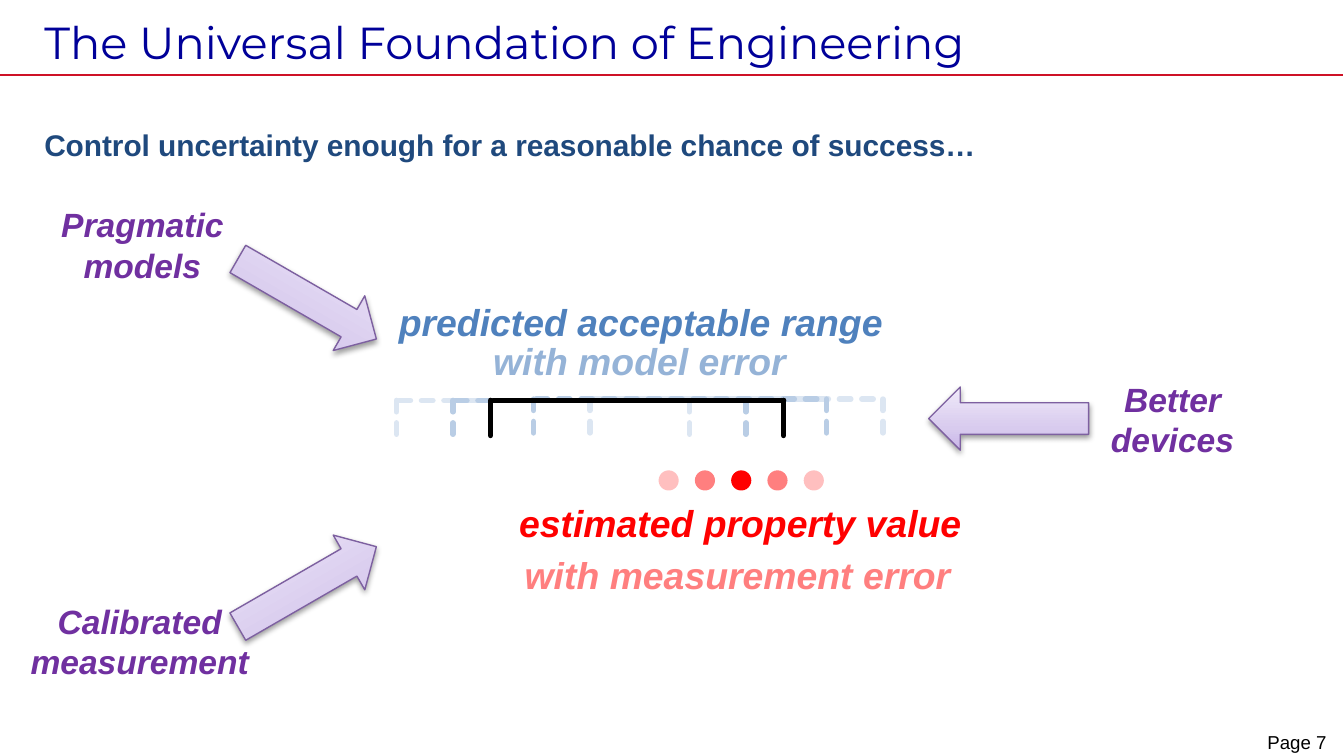
from lxml import etree
from pptx import Presentation
from pptx.dml.color import RGBColor
from pptx.enum.dml import MSO_LINE
from pptx.enum.shapes import MSO_CONNECTOR, MSO_SHAPE
from pptx.enum.text import MSO_ANCHOR, PP_ALIGN
from pptx.oxml import parse_xml
from pptx.oxml.ns import nsdecls, qn
from pptx.util import Pt

PX = 9144  # 100 px to the inch
STRAIGHT = MSO_CONNECTOR.STRAIGHT
ELLIPSE, LEFT_ARROW = MSO_SHAPE.OVAL, MSO_SHAPE.LEFT_ARROW
SHORT_DASH = MSO_LINE.SQUARE_DOT
LEFT, CENTER = PP_ALIGN.LEFT, PP_ALIGN.CENTER
TOP, BOTTOM = MSO_ANCHOR.TOP, MSO_ANCHOR.BOTTOM

BLACK = RGBColor(0x00, 0x00, 0x00)
RED = RGBColor(0xFF, 0x00, 0x00)
RULE_RED = RGBColor(0xCE, 0x11, 0x26)
TITLE_BLUE = RGBColor(0x00, 0x00, 0x99)
NAVY = RGBColor(0x1F, 0x49, 0x7D)
BLUE = RGBColor(0x4F, 0x81, 0xBD)
SOFT_BLUE = RGBColor(0x95, 0xB3, 0xD7)
PALE_BLUE = RGBColor(0xB9, 0xCD, 0xE5)
FAINT_BLUE = RGBColor(0xDC, 0xE6, 0xF2)
PURPLE = RGBColor(0x70, 0x30, 0xA0)
ARROW_EDGE = RGBColor(0x7D, 0x60, 0xA0)
ARROW_STOPS = ((0, "C9B5E8"), (35, "D8CBEE"), (100, "F0EAF9"))

VALUE_FORMAT = {"size": Pt(20), "bold": True, "italic": True}
LABEL_FORMAT = {"size": Pt(18), "bold": True, "italic": True}


def set_opacity(element, percent):
    for colour in element.iter(qn("a:srgbClr")):
        etree.SubElement(colour, qn("a:alpha"), val=str(percent * 1000))


def add_text(page, box, lines, colour, font, align=CENTER, anchor=TOP,
             insets=(10, 5, 10, 5), wrap=True, spacing=None, opacity=100):
    frame = page.shapes.add_textbox(*(n * PX for n in box)).text_frame
    frame.word_wrap = wrap
    frame.vertical_anchor = anchor
    for side, inset in zip(("left", "top", "right", "bottom"), insets):
        setattr(frame, f"margin_{side}", inset * PX)
    for index, line in enumerate(lines):
        para = frame.paragraphs[0] if index == 0 else frame.add_paragraph()
        para.alignment = align
        para.line_spacing = spacing
        span = para.add_run()
        span.text = line
        for name, value in {"name": "Arial", **font}.items():
            setattr(span.font, name, value)
        span.font.color.rgb = colour
        if opacity < 100:
            set_opacity(span._r, opacity)


def add_line(page, start, end, colour, width, dash=None):
    line = page.shapes.add_connector(
        STRAIGHT, *(n * PX for n in (*start, *end)))
    line.line.color.rgb = colour
    line.line.width = Pt(width)
    line.line.dash_style = dash
    etree.SubElement(line._element.spPr, qn("a:effectLst"))
    return line


def add_bracket(page, left, top, colour, dash=None):
    """Top bar with a leg at each end."""
    right, bottom = left + 216, top + 26
    for start, end in (((left, top), (right, top)),
                       ((right, top), (right, bottom)),
                       ((left - 2, top), (left - 2, bottom))):
        line = add_line(page, start, end, colour, 3, dash)
        line.line._get_or_add_ln().set("cap", "rnd")


def add_arrow(page, left, top, angle=0, flipped=False):
    arrow = page.shapes.add_shape(
        LEFT_ARROW, left * PX, top * PX, 119 * PX, 47 * PX)
    arrow.rotation = angle
    properties = arrow._element.spPr
    if flipped:
        properties.xfrm.set("flipH", "1")
    stops = "".join(
        f'<a:gs pos="{place * 1000}"><a:srgbClr val="{colour}"/></a:gs>'
        for place, colour in ARROW_STOPS)
    properties.append(parse_xml(
        f'<a:gradFill rotWithShape="1" {nsdecls("a")}><a:gsLst>{stops}</a:gsLst>'
        '<a:lin ang="16200000" scaled="0"/></a:gradFill>'))
    arrow.line.color.rgb = ARROW_EDGE
    arrow.line.width = Pt(0.75)
    properties.append(parse_xml(
        f'<a:effectLst {nsdecls("a")}><a:outerShdw blurRad="40000" dist="20000" '
        'dir="5400000" rotWithShape="0"><a:srgbClr val="000000">'
        '<a:alpha val="38000"/></a:srgbClr></a:outerShdw></a:effectLst>'))


def add_frame(page, width, height):
    """Title, rule, lead sentence and page number."""
    add_line(page, (0, 56), (width - 1, 56), RULE_RED, 1)
    add_text(page, (33, 8, 768, 48), ["The Universal Foundation of Engineering"],
             TITLE_BLUE, {"name": "Montserrat", "size": Pt(24)}, LEFT, BOTTOM,
             (0, 5, 10, 5), spacing=0.85)
    add_text(page, (33, 94, 933, 393),
             ["Control uncertainty enough for a reasonable chance of success…"],
             NAVY, {"size": Pt(16), "bold": True}, LEFT, insets=(0, 0, 0, 0))
    add_text(page, (width - 70, height - 18, 70, 14), ["Page 7"], BLACK,
             {"size": Pt(10)}, insets=(0, 0, 0, 0))


def add_range(page, left, top):
    """Predicted range: shifted dashed brackets around the solid one."""
    add_text(page, (left, top + 29, 456, 44), ["with model error"],
             SOFT_BLUE, VALUE_FORMAT)
    for shift, drop, colour in ((193, 79, FAINT_BLUE), (151, 79, PALE_BLUE),
                                (49, 80, FAINT_BLUE), (91, 80, PALE_BLUE)):
        add_bracket(page, left + shift, top + drop, colour, SHORT_DASH)
    add_bracket(page, left + 119, top + 80, BLACK)
    add_text(page, (left + 1, top, 456, 44), ["predicted acceptable range"],
             BLUE, VALUE_FORMAT)


def add_estimate(page, left, top):
    """Estimated value: row of dots fading out from the middle."""
    for index, opacity in enumerate((25, 50, 100, 50, 25)):
        dot = page.shapes.add_shape(
            ELLIPSE, (left + 194 + 27 * index) * PX, top * PX, 15 * PX, 15 * PX)
        dot.shadow.inherit = False
        dot.fill.solid()
        dot.fill.fore_color.rgb = RED
        dot.line.fill.background()
        if opacity < 100:
            set_opacity(dot._element.spPr, opacity)
    add_text(page, (left, top + 56, 506, 44), ["with measurement error"],
             RED, VALUE_FORMAT, opacity=50)
    add_text(page, (left + 2, top + 17, 506, 44), ["estimated property value"],
             RED, VALUE_FORMAT)


def add_influences(page):
    """Purple arrows pointing at the middle, each with its label."""
    for arrow, label, lines in (
            ((691, 288), (816, 277, 113, 71), ["Better", "devices"]),
            ((169, 413, 330, True), (12, 442, 184, 71),
             ["Calibrated", "measurement"]),
            ((169, 199, 30, True), (35, 147, 142, 71), ["Pragmatic", "models"])):
        add_arrow(page, *arrow)
        add_text(page, label, lines, PURPLE, LABEL_FORMAT, wrap=False)


def main():
    width, height = 1000, 562
    deck = Presentation()
    deck.slide_width = width * PX
    deck.slide_height = deck.slide_width * 9 // 16
    page = deck.slides.add_slide(deck.slide_layouts[6])
    add_frame(page, width, height)
    add_range(page, 248, 218)
    add_estimate(page, 296, 350)
    add_influences(page)
    deck.save("out.pptx")


if __name__ == "__main__":
    main()
